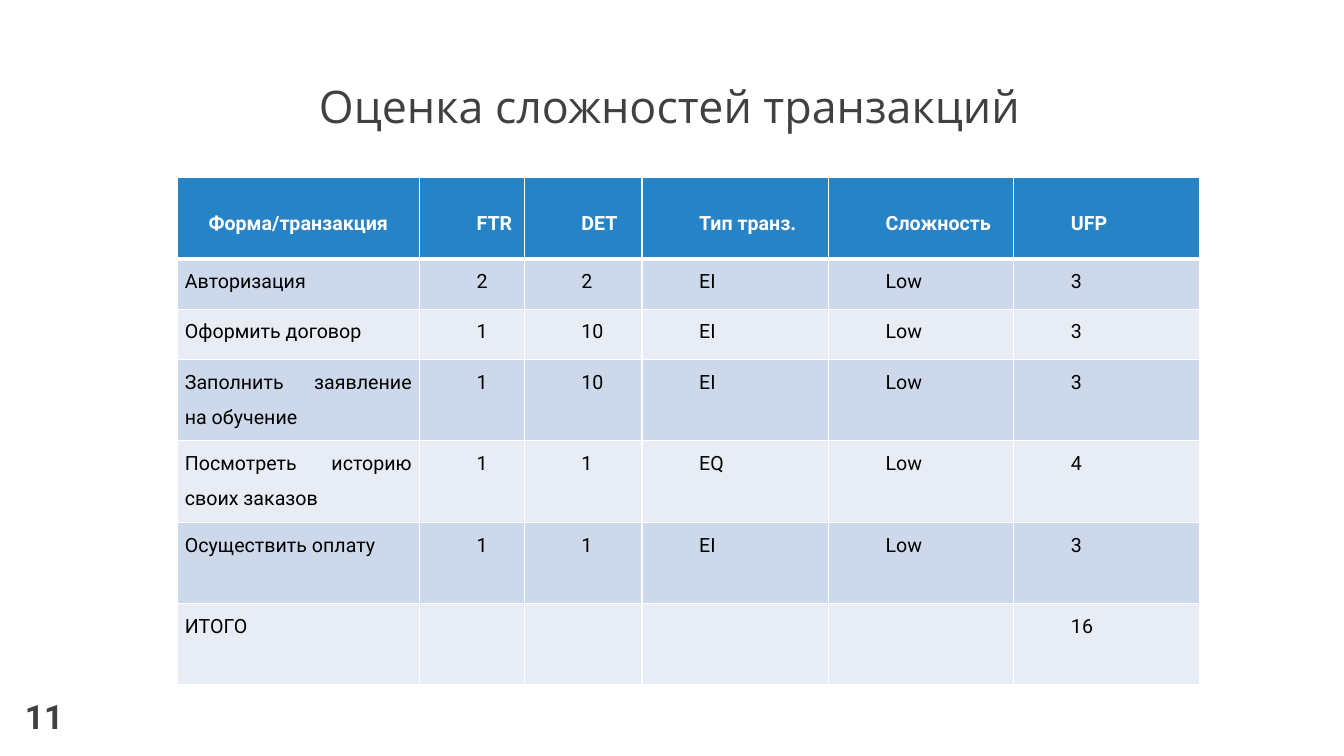
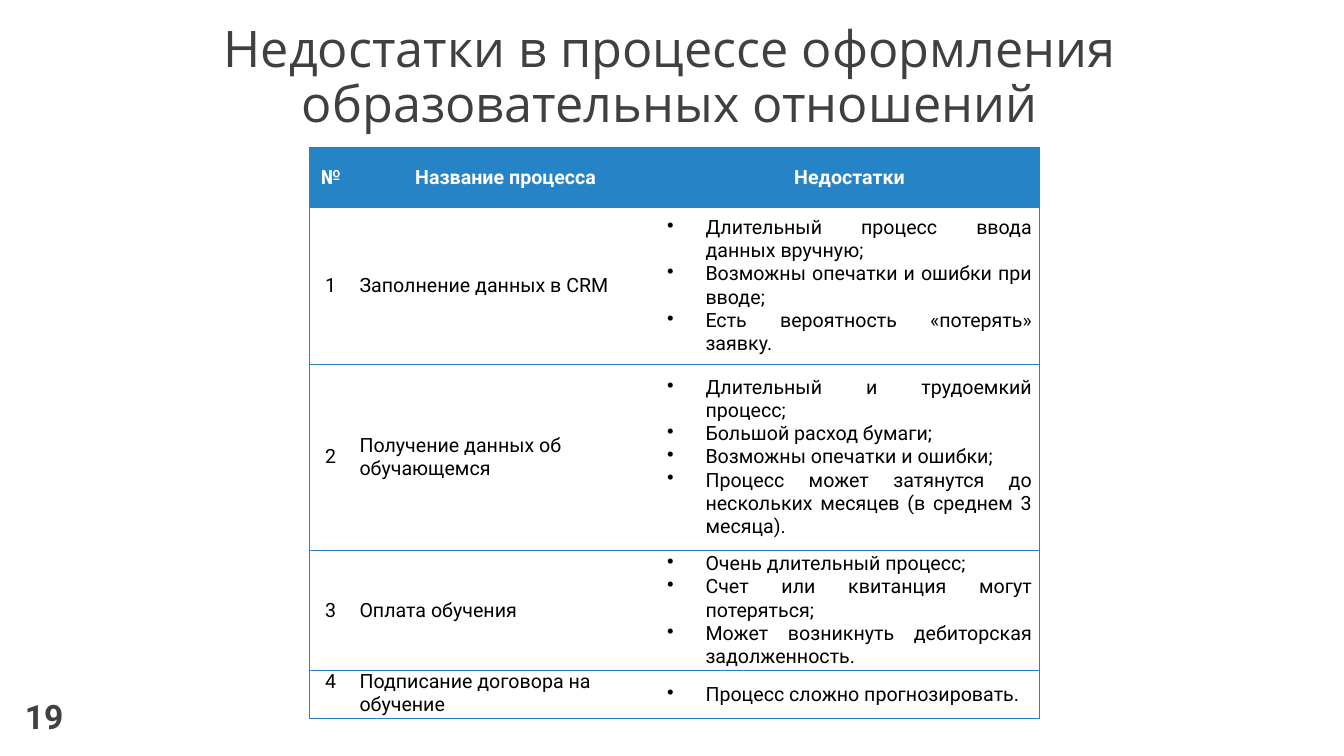
"""Builds two slides: transaction complexity and enrolment process shortcomings."""
import pptx
import pptx.dml.color
import pptx.enum.text
import pptx.oxml.ns
import pptx.util
from lxml import etree

Cm, Pt = pptx.util.Cm, pptx.util.Pt
RGBColor = pptx.dml.color.RGBColor
ALIGN = pptx.enum.text.PP_ALIGN
ANCHOR = pptx.enum.text.MSO_ANCHOR
AUTO_SIZE = pptx.enum.text.MSO_AUTO_SIZE

BLUE = RGBColor(0x26, 0x83, 0xC6)
ODD_BAND = RGBColor(0xCD, 0xD9, 0xEA)
EVEN_BAND = RGBColor(0xE8, 0xED, 0xF5)
WHITE = RGBColor(0xFF, 0xFF, 0xFF)
BLACK = RGBColor(0, 0, 0)
GRAY = RGBColor(0x40, 0x40, 0x40)
HEADING_FONT, TEXT_FONT = "Open Sans", "Roboto"
NO_STYLE = "{2D5ABB26-0587-4C30-8999-92F81FD0307C}"

TRANSACTIONS = {
    "title": "Оценка сложностей транзакций", "title_size": 32, "number": "11",
    "left": 4.47, "top": 4.47,
    "columns": [6.1, 2.64, 2.97, 4.7, 4.67, 4.67],
    "heights": [2.05, 1.27, 1.27, 2.05, 2.05, 2.05, 2.05],
    "rows": [
        ("Форма/транзакция", "FTR", "DET", "Тип транз.", "Сложность", "UFP"),
        ("Авторизация", "2", "2", "EI", "Low", "3"),
        ("Оформить договор", "1", "10", "EI", "Low", "3"),
        ("Заполнить заявление на обучение", "1", "10", "EI", "Low", "3"),
        ("Посмотреть историю своих заказов", "1", "1", "EQ", "Low", "4"),
        ("Осуществить оплату", "1", "1", "EI", "Low", "3"),
        ("ИТОГО", "", "", "", "", "16"),
    ],
}

SHORTCOMINGS = {
    "title": "Недостатки в процессе оформления образовательных отношений",
    "title_size": 36, "number": "19",
    "left": 7.8, "top": 3.71,
    "columns": [1.07, 7.75, 9.58],
    "heights": [1.52, 3.94, 4.7, 3.02, 1.22],
    "rows": [
        ("№", "Название процесса", "Недостатки"),
        ("1", "Заполнение данных в CRM", [
            "Длительный процесс ввода данных вручную;",
            "Возможны опечатки и ошибки при вводе;",
            "Есть вероятность «потерять» заявку."]),
        ("2", "Получение данных об обучающемся", [
            "Длительный и трудоемкий процесс;",
            "Большой расход бумаги;",
            "Возможны опечатки и ошибки;",
            "Процесс может затянутся до нескольких месяцев (в среднем 3 месяца)."]),
        ("3", "Оплата обучения", [
            "Очень длительный процесс;",
            "Счет или квитанция могут потеряться;",
            "Может возникнуть дебиторская задолженность."]),
        ("4", "Подписание договора на обучение", ["Процесс сложно прогнозировать."]),
    ],
}


def style(paragraph, font_name, size, color, bold=False):
    font = paragraph.font
    font.name, font.size, font.bold = font_name, Pt(size), bold
    font.color.rgb = color


def set_indent(paragraph, first_line, left=0, bullet=None):
    properties = paragraph._p.get_or_add_pPr()
    properties.set("marL", str(Cm(left)))
    properties.set("indent", str(Cm(first_line)))
    if bullet:
        mark = etree.SubElement(properties, pptx.oxml.ns.qn("a:buChar"))
        mark.set("char", bullet)


def set_borders(cell, color, **widths):
    properties = cell._tc.get_or_add_tcPr()
    for side in "LRTB":
        if side in widths:
            line = etree.SubElement(properties, pptx.oxml.ns.qn(f"a:ln{side}"))
            line.set("w", str(Pt(widths[side])))
            fill = etree.SubElement(line, pptx.oxml.ns.qn("a:solidFill"))
            etree.SubElement(fill, pptx.oxml.ns.qn("a:srgbClr")).set("val", str(color))


def fill_cell(cell, content, is_header):
    """Write the content and return its paragraphs."""
    cell.margin_left = cell.margin_right = Cm(0.19)
    cell.margin_top = cell.margin_bottom = 0
    lines = content if isinstance(content, list) else [content]
    cell.text = "\n".join(lines)
    for paragraph in cell.text_frame.paragraphs:
        style(paragraph, TEXT_FONT, 14, WHITE if is_header else BLACK, is_header)
    return cell.text_frame.paragraphs


def add_page(deck, page):
    """Add a slide with title, number and an unstyled table; return the table."""
    slide = deck.slides.add_slide(deck.slide_layouts[5])
    title = slide.shapes.title
    title.left, title.top, title.width, title.height = Cm(2.21), Cm(0.33), Cm(29.34), Cm(3.15)
    title.text = page["title"]
    title.text_frame.auto_size = AUTO_SIZE.NONE
    title.text_frame.vertical_anchor = ANCHOR.BOTTOM
    heading = title.text_frame.paragraphs[0]
    heading.alignment, heading.line_spacing = ALIGN.CENTER, 0.9
    style(heading, HEADING_FONT, page["title_size"], GRAY)

    columns, heights = page["columns"], page["heights"]
    table = slide.shapes.add_table(
        len(heights), len(columns), Cm(page["left"]), Cm(page["top"]),
        Cm(sum(columns)), Cm(sum(heights))).table
    table.horz_banding = False
    table._tbl.tblPr.find(pptx.oxml.ns.qn("a:tableStyleId")).text = NO_STYLE
    for column, width in zip(table.columns, columns):
        column.width = Cm(width)
    for row, height in zip(table.rows, heights):
        row.height = Cm(height)

    number = slide.shapes.add_textbox(Cm(0.38), Cm(17.42), Cm(1.6), Cm(1.27))
    number.text_frame.word_wrap = True
    number.text_frame.text = page["number"]
    style(number.text_frame.paragraphs[0], TEXT_FONT, 24, GRAY, True)
    return table


def add_transactions(deck):
    table = add_page(deck, TRANSACTIONS)
    for r, row in enumerate(TRANSACTIONS["rows"]):
        for c, content in enumerate(row):
            cell = table.cell(r, c)
            paragraph = fill_cell(cell, content, r == 0)[0]
            paragraph.line_spacing = 1.5
            paragraph.alignment = ALIGN.JUSTIFY if r else ALIGN.LEFT if c else ALIGN.CENTER
            if c:
                set_indent(paragraph, 1.25)
            cell.vertical_anchor = ANCHOR.TOP if r else ANCHOR.MIDDLE
            set_borders(cell, WHITE, L=1, R=1, T=3 if r == 1 else 1, B=1 if r else 3)
            cell.fill.solid()
            cell.fill.fore_color.rgb = (ODD_BAND if r % 2 else EVEN_BAND) if r else BLUE


def add_shortcomings(deck):
    table = add_page(deck, SHORTCOMINGS)
    last_row = len(SHORTCOMINGS["rows"]) - 1
    last_column = len(SHORTCOMINGS["columns"]) - 1
    for r, row in enumerate(SHORTCOMINGS["rows"]):
        for c, content in enumerate(row):
            cell = table.cell(r, c)
            is_list = isinstance(content, list)
            for paragraph in fill_cell(cell, content, r == 0):
                if is_list:
                    paragraph.alignment = ALIGN.JUSTIFY
                    set_indent(paragraph, -0.97, 0.97, "•")
                else:
                    paragraph.alignment = ALIGN.LEFT if r and c else ALIGN.CENTER
            at_top = r == last_row and not is_list
            cell.vertical_anchor = ANCHOR.TOP if at_top else ANCHOR.MIDDLE
            edges = {"T": 0.5, "B": 0.5}
            if c == 0:
                edges["L"] = 0.5
            if c == last_column:
                edges["R"] = 0.5
            set_borders(cell, BLUE, **edges)
            if r == 0:
                cell.fill.solid()
                cell.fill.fore_color.rgb = BLUE


def main():
    deck = pptx.Presentation()
    deck.slide_width, deck.slide_height = Cm(33.87), Cm(19.05)
    add_transactions(deck)
    add_shortcomings(deck)
    deck.save("out.pptx")


if __name__ == "__main__":
    main()
